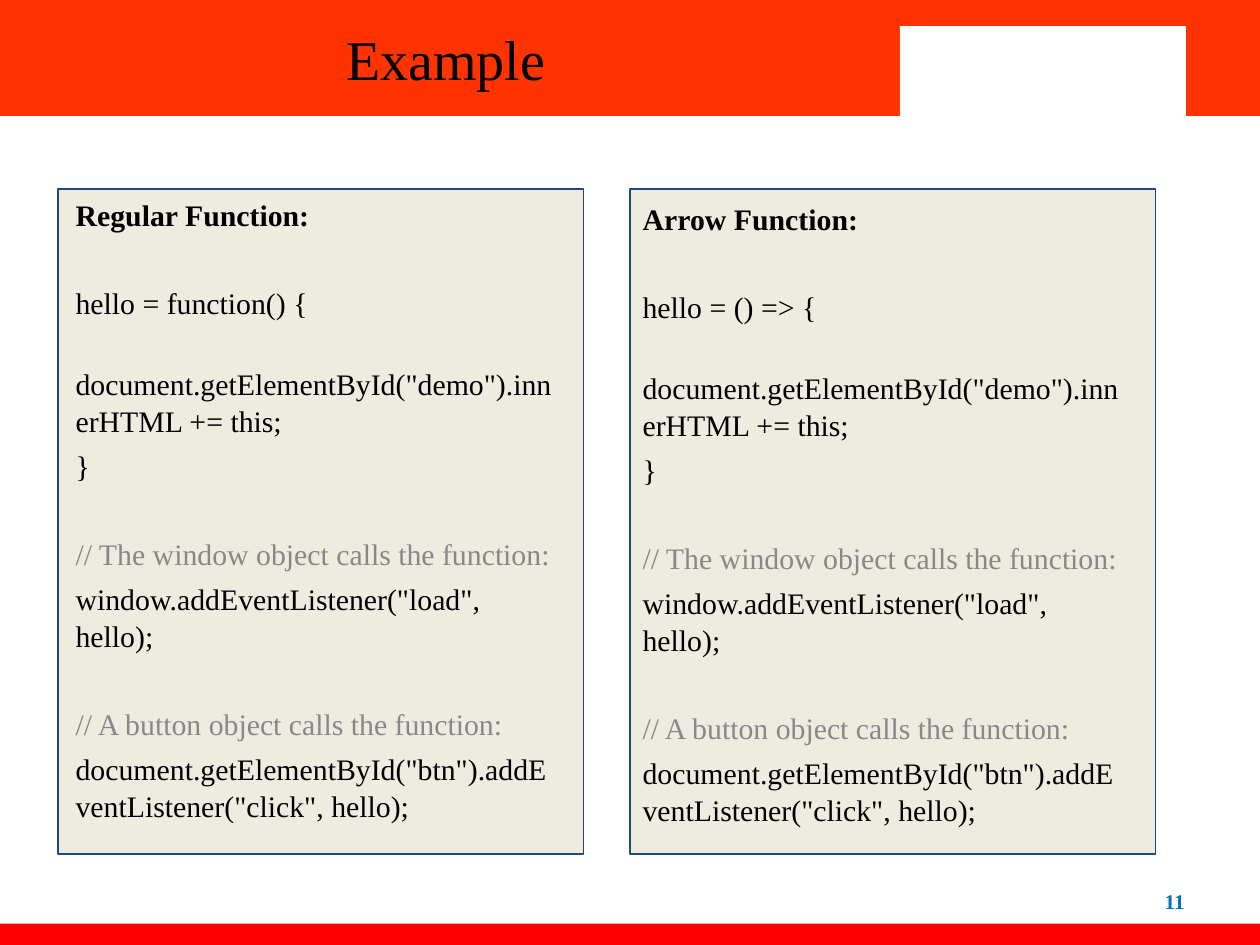
from lxml import etree
from pptx import Presentation
from pptx.dml.color import RGBColor
from pptx.enum.shapes import MSO_SHAPE
from pptx.enum.text import MSO_ANCHOR, MSO_AUTO_SIZE, PP_ALIGN
from pptx.oxml.ns import qn
from pptx.util import Cm, Pt

RECT = MSO_SHAPE.RECTANGLE
MIDDLE, TOP = MSO_ANCHOR.MIDDLE, MSO_ANCHOR.TOP
NO_FIT = MSO_AUTO_SIZE.NONE
LEFT, CENTER, RIGHT = PP_ALIGN.LEFT, PP_ALIGN.CENTER, PP_ALIGN.RIGHT

THEME = {
    "font": "Times New Roman",
    "header": "FF3300", "footer": "FF0000", "white": "FFFFFF",
    "panel": "EEECE1", "border": "1F497D",
    "text": "000000", "comment": "888888", "number": "0070C0",
    "title_size": 32, "code_size": 17, "number_size": 12,
    "line": 1.04, "gap": 4.4, "indent_gap": 24.8, "section_gap": 29.2,
}


def place(sp, left, top, width, height):
    box = {"left": left, "top": top, "width": width, "height": height}
    for name, value in box.items():
        setattr(sp, name, Cm(value))


def write(p, text, size, color="text", bold=False, align=LEFT):
    p.alignment = align
    r = p.add_run()
    r.text = text
    fmt = {"name": THEME["font"], "size": Pt(THEME[size]), "bold": bold}
    for name, value in fmt.items():
        setattr(r.font, name, value)
    r.font.color.rgb = RGBColor.from_string(THEME[color])


prs = Presentation()
prs.slide_width, prs.slide_height = Cm(25.4), Cm(19.05)
s = prs.slides.add_slide(prs.slide_layouts[3])
title, left_body, right_body = s.placeholders

blocks = [
    ((0, 0, 25.4, 2.34), "header", None),
    ((0, 18.62, 25.4, 0.43), "footer", None),
    ((17.07, 0, 8.33, 2.34), "header", None),
    ((18.14, 0.53, 5.77, 1.9), "white", None),
    ((12.7, 3.81, 10.59, 13.41), "panel", "border"),
    ((1.17, 3.81, 10.59, 13.41), "panel", "border"),
]
for box, fill, line in blocks:
    sp = s.shapes.add_shape(RECT, *map(Cm, box))
    sp.shadow.inherit = False
    sp.fill.solid()
    sp.fill.fore_color.rgb = RGBColor.from_string(THEME[fill])
    if line:
        sp.line.color.rgb = RGBColor.from_string(THEME[line])
        sp.line.width = Pt(0.75)
    else:
        sp.line.fill.background()
    title.element.addprevious(sp.element)

place(title, 0, 0, 17.98, 2.34)
write(title.text_frame.paragraphs[0], "Example", "title_size", align=CENTER)

number = s.shapes.add_textbox(Cm(18.21), Cm(17.65), Cm(5.92), Cm(1.02))
write(number.text_frame.paragraphs[0], "11", "number_size", "number", True, RIGHT)

common = [
    ('document.getElementById("demo").innerHTML += this;', "text", "indent_gap"),
    ("}", "text", "gap"),
    ("// The window object calls the function:", "comment", "section_gap"),
    ('window.addEventListener("load", hello);', "text", "gap"),
    ("// A button object calls the function:", "comment", "section_gap"),
    ('document.getElementById("btn").addEventListener("click", hello);', "text", "gap"),
]
columns = [
    (left_body, (1.27, 3.81), "Regular Function:", "hello = function() {"),
    (right_body, (12.7, 3.89), "Arrow Function:", "hello = () => {"),
]
for sp, corner, heading, opening in columns:
    place(sp, *corner, 10.24, 12.57)
    tf = sp.text_frame
    lines = [(heading, "text", "gap"), (opening, "text", "section_gap")] + common
    for i, (text, color, gap) in enumerate(lines):
        p = tf.add_paragraph() if i else tf.paragraphs[0]
        write(p, text, "code_size", color, bold=i == 0)
        p.line_spacing = THEME["line"]
        p.space_before = Pt(THEME[gap])
        pPr = p._p.get_or_add_pPr()
        pPr.set("marL", "0")
        pPr.set("indent", "0")
        etree.SubElement(pPr, qn("a:buNone"))

anchors = [(title, MIDDLE), (number, MIDDLE), (left_body, TOP), (right_body, TOP)]
for sp, anchor in anchors:
    frame = {"word_wrap": True, "auto_size": NO_FIT, "vertical_anchor": anchor}
    for name, value in frame.items():
        setattr(sp.text_frame, name, value)

prs.save("out.pptx")
